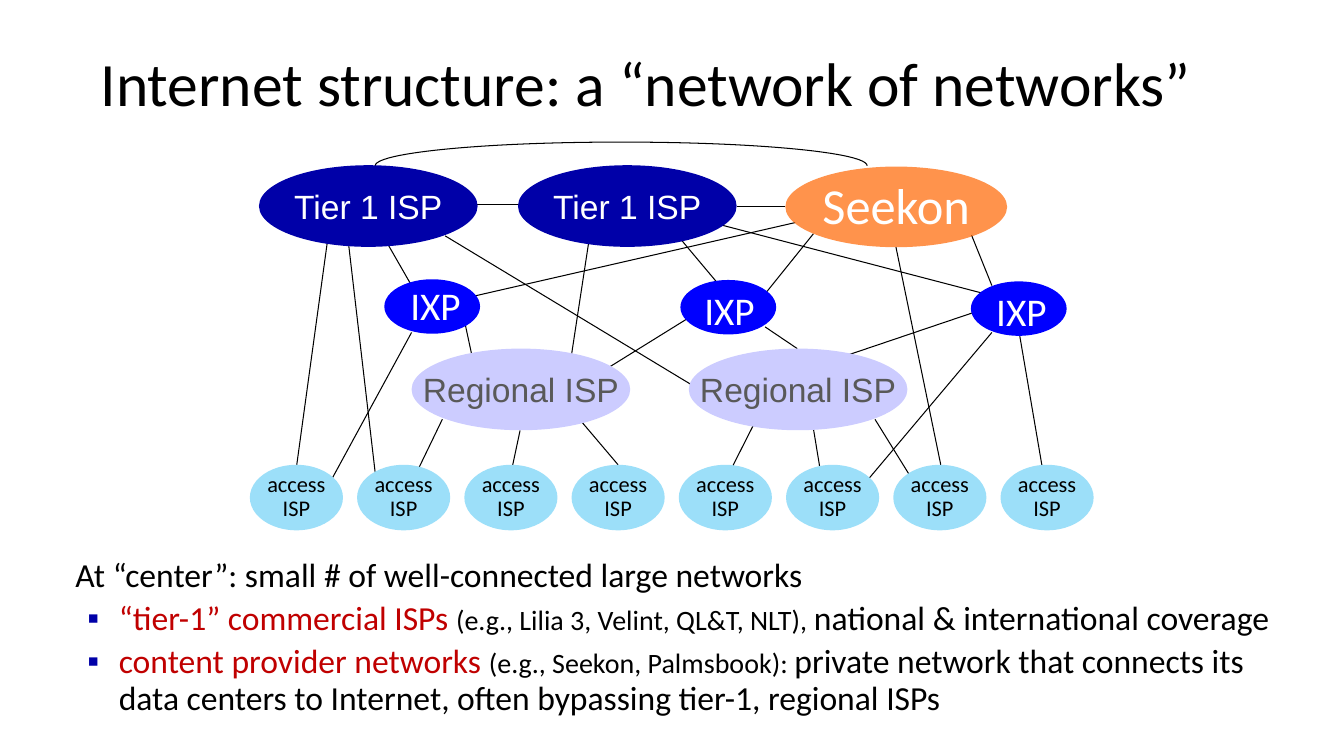
import pptx
import pptx.util
import pptx.dml.color
import pptx.enum.shapes
import pptx.enum.text
import pptx.oxml.ns
from lxml import etree

Pt = pptx.util.Pt
SHAPE = pptx.enum.shapes.MSO_SHAPE
ALIGN = pptx.enum.text.PP_ALIGN
ANCHOR = pptx.enum.text.MSO_ANCHOR
FIT = pptx.enum.text.MSO_AUTO_SIZE

HUES = {
    "ink": "000000", "white": "FFFFFF", "red": "C00000", "grey": "595959",
    "tier": "0000A8", "cloud": "FF6600", "ixp": "0000FF",
    "region": "CCCCFF", "access": "9CDFF9",
}

LINKS = [
    (58, 56, 34, 231), (193.5, 206.5, 185.5, 244), (138, 198.5, 116, 244),
    (70.5, 69, 91.5, 249.5), (116, 136.5, 54.5, 249.5), (230, 191.5, 263.5, 231),
    (362, 199, 339, 244.5), (403, 205, 409.5, 244.5), (447, 198.5, 479.5, 251),
    (462, 75.5, 494, 231), (550, 136.5, 568.5, 244.5), (530.5, 136.5, 434.5, 250.5),
    (154.5, 131.5, 160.5, 159.5), (243, 69, 230, 154), (314, 126, 249.5, 166),
    (140, 67.5, 319.5, 176), (524, 120, 422, 154.5), (368.5, 132.5, 391.5, 148),
    (390, 58, 141, 115), (516, 67, 530.5, 103), (403, 66, 364, 114.5),
    (202, 45, 160.5, 45), (383, 46.5, 348.5, 46.5), (96.5, 69, 116, 103),
    (307.5, 69, 339, 106.5), (334.5, 59, 526, 109),
]

HUBS = [(96.5, 98.5, 11.5, -2), (308, 99, 10, 0.7), (515.5, 100, 11, 0.7)]

POINTS = [
    [("“tier-1” commercial ISPs ", 24, "red"),
     ("(e.g., Lilia 3, Velint, QL&T, NLT), ", 20, "ink"),
     ("national & international coverage", 24, "ink")],
    [("content provider networks ", 24, "red"),
     ("(e.g., Seekon, Palmsbook): ", 20, "ink"),
     ("private network that connects its data centers to Internet, "
      "often bypassing tier-1, regional ISPs", 24, "ink")],
]


def rgb(hue):
    """Return the named colour."""
    return pptx.dml.color.RGBColor.from_string(HUES[hue])


def add_tag(root, name, **attrs):
    """Append a DrawingML element to root."""
    return etree.SubElement(root, pptx.oxml.ns.qn("a:" + name), attrs)


def style(font, size, hue, face="Calibri"):
    """Set size, colour and face of a font."""
    font.size, font.name = Pt(size), face
    font.color.rgb = rgb(hue)


def add_text(slide, box, text, size, hue, wrap=False):
    """Add a text box and return its frame."""
    frame = slide.shapes.add_textbox(*map(Pt, box)).text_frame
    frame.text = text
    frame.word_wrap = wrap
    frame.auto_size = FIT.NONE if wrap else FIT.SHAPE_TO_FIT_TEXT
    style(frame.paragraphs[0].runs[0].font, size, hue)
    return frame


def add_node(slide, box, fill, text="", size=24, hue="white", face="Arial", gap=1.0):
    """Add an ellipse with a centred label."""
    node = slide.shapes.add_shape(SHAPE.OVAL, *map(Pt, box))
    node.shadow.inherit = False
    node.fill.solid()
    node.fill.fore_color.rgb = rgb(fill)
    node.line.fill.background()
    frame = node.text_frame
    frame.text = text
    frame.word_wrap = False
    frame.vertical_anchor = ANCHOR.MIDDLE
    for para in frame.paragraphs:
        para.alignment, para.line_spacing = ALIGN.CENTER, gap
        for run in para.runs:
            style(run.font, size, hue, face)
    return node


def add_link(slide, left, top, ends):
    """Draw a thin line between two points of the box."""
    x1, y1, x2, y2 = ends
    link = slide.shapes.add_connector(
        pptx.enum.shapes.MSO_CONNECTOR.STRAIGHT,
        Pt(left + x1), Pt(top + y1), Pt(left + x2), Pt(top + y2))
    link.line.color.rgb = rgb("ink")
    link.line.width = Pt(0.75)
    add_tag(link._element.spPr, "effectLst")


def add_arc(slide, box):
    """Draw the open arc over the top row."""
    arc = slide.shapes.add_shape(SHAPE.ARC, *map(Pt, box))
    arc.shadow.inherit = False
    arc.adjustments[0], arc.adjustments[1] = 106.82, 0
    arc.fill.background()
    arc.line.color.rgb = rgb("ink")
    arc.line.width = Pt(0.75)


def add_net(slide, left, top):
    """Draw the network: links first, then the rows of nodes."""
    for ends in LINKS:
        add_link(slide, left, top, ends)
    add_arc(slide, (left + 90, top + 0.5, 351.4, 33.8))
    for col in range(8):
        add_node(slide, (left + 0.5 + 76.6 * col, top + 231, 66.5, 46.8),
                 "access", "access\nISP", 16, "ink", "Calibri", 0.9)
    for col in range(2):
        add_node(slide, (left + 116 + 198 * col, top + 148, 156.2, 58.3),
                 "region", "Regional ISP", hue="grey")
        add_node(slide, (left + 7 + 185 * col, top + 17, 156.2, 58.3),
                 "tier", "Tier 1 ISP")
    cloud = add_node(slide, (left + 383, top + 18, 158.4, 57.6), "cloud")
    tint = cloud._element.spPr.find(".//" + pptx.oxml.ns.qn("a:srgbClr"))
    add_tag(tint, "alpha", val="70000")
    label = add_text(slide, (left + 392.2, top + 20, 140, 51.1), "Seekon", 36, "white")
    label.paragraphs[0].alignment = ALIGN.CENTER
    for x, y, dx, dy in HUBS:
        add_node(slide, (left + x, top + y, 68.4, 38.9), "ixp")
        add_text(slide, (left + x + dx, top + y + dy, 51.1, 38.9), "IXP", 28, "white")


def add_title(slide, box):
    """Add the slide title."""
    frame = add_text(slide, box, "Internet structure: a “network of networks”",
                     44, "ink", True)
    frame.vertical_anchor = ANCHOR.MIDDLE
    frame.paragraphs[0].line_spacing = 0.9


def add_body(slide, box):
    """Add the lead line and its bullets."""
    frame = add_text(slide, box, "At “center”: small # of well-connected large networks",
                     24, "ink", True)
    lead = frame.paragraphs[0]
    lead.line_spacing = 0.9
    lead._p.get_or_add_pPr().set("marL", str(Pt(5)))
    for parts in POINTS:
        para = frame.add_paragraph()
        para.level, para.line_spacing, para.space_before = 1, 0.9, Pt(5)
        props = para._p.get_or_add_pPr()
        props.set("marL", str(Pt(36)))
        props.set("indent", str(Pt(-22.5)))
        add_tag(add_tag(props, "buClr"), "srgbClr", val=HUES["tier"])
        add_tag(props, "buFont", typeface="Arial")
        add_tag(props, "buChar", char="▪")
        for text, size, hue in parts:
            run = para.add_run()
            run.text = text
            style(run.font, size, hue)


def main():
    """Build the slide and save it."""
    deck = pptx.Presentation()
    deck.slide_width, deck.slide_height = Pt(960), Pt(540)
    slide = deck.slides.add_slide(deck.slide_layouts[6])
    add_title(slide, (64.8, 26.6, 828, 70.6))
    add_net(slide, 178, 101)
    add_body(slide, (41.8, 395.3, 888.5, 144))
    deck.save("out.pptx")


if __name__ == "__main__":
    main()
